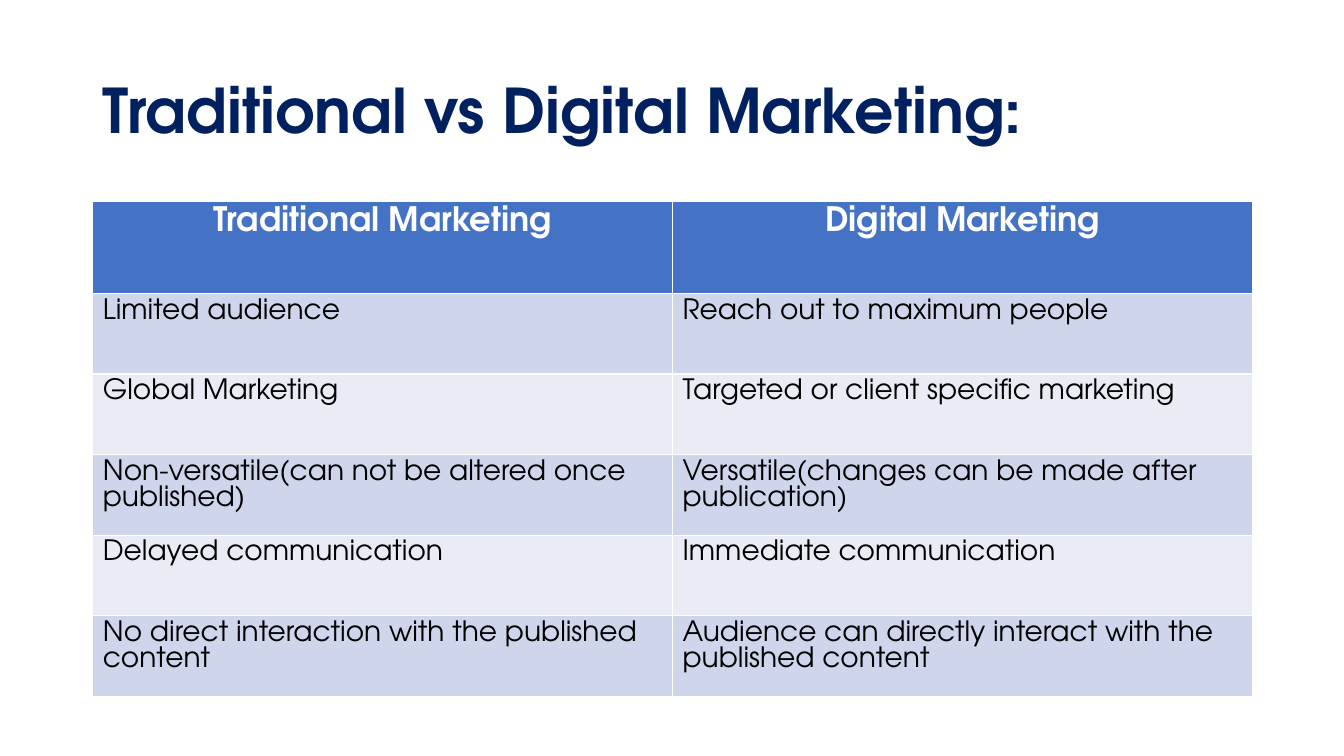
from pptx import Presentation
from pptx.dml.color import RGBColor
from pptx.enum.text import MSO_ANCHOR, MSO_AUTO_SIZE, PP_ALIGN
from pptx.util import Inches, Pt

LEFT, CENTER = PP_ALIGN.LEFT, PP_ALIGN.CENTER
MIDDLE = MSO_ANCHOR.MIDDLE
NO_AUTOFIT = MSO_AUTO_SIZE.NONE
TITLE_ONLY = 5
FONT = "TeX Gyre Adventor"
COLORS = {
    "title": "002060",
    "header": "4472C4",
    "header_text": "FFFFFF",
    "odd_row": "CFD5EA",
    "even_row": "E9EBF5",
    "body_text": "000000",
}
MARGIN, CONTENT_WIDTH = Inches(0.92), Inches(11.5)
HEADER_HEIGHT, ROW_HEIGHT = Inches(0.91), Inches(0.8)
COMPARISON = [
    ("Traditional Marketing", "Digital Marketing"),
    ("Limited audience", "Reach out to maximum people"),
    ("Global Marketing", "Targeted or client specific marketing"),
    ("Non-versatile(can not be altered once published)",
     "Versatile(changes can be made after publication)"),
    ("Delayed communication", "Immediate communication"),
    ("No direct interaction with the published content",
     "Audience can directly interact with the published content"),
]


def color(name):
    """Return the named colour of the palette."""
    return RGBColor.from_string(COLORS[name])


def write(frame, text, size, color_name, bold, align):
    """Put one formatted paragraph in a text frame."""
    frame.text = text
    para = frame.paragraphs[0]
    para.alignment = align
    for span in para.runs:
        span.font.name = FONT
        span.font.size = Pt(size)
        span.font.bold = bold
        span.font.color.rgb = color(color_name)


def add_title(page, text):
    """Place and fill the title placeholder."""
    title = page.shapes.title
    title.left, title.top = MARGIN, Inches(0.4)
    title.width, title.height = CONTENT_WIDTH, Inches(1.45)
    frame = title.text_frame
    frame.auto_size = NO_AUTOFIT
    frame.vertical_anchor = MIDDLE
    write(frame, text, 44, "title", True, LEFT)
    frame.paragraphs[0].line_spacing = 0.9


def fill_cell(cell, text, row):
    """Write and colour a cell according to its row."""
    cell.fill.solid()
    if row == 0:
        fill_name = "header"
        write(cell.text_frame, text, 24, "header_text", True, CENTER)
    else:
        fill_name = "odd_row" if row % 2 else "even_row"
        write(cell.text_frame, text, 20, "body_text", False, LEFT)
    cell.fill.fore_color.rgb = color(fill_name)


def add_comparison(page, rows):
    """Add a table with a header row and equal columns."""
    columns = len(rows[0])
    height = HEADER_HEIGHT + ROW_HEIGHT * (len(rows) - 1)
    table = page.shapes.add_table(
        len(rows), columns, MARGIN, Inches(2), CONTENT_WIDTH, height).table
    for row, texts in enumerate(rows):
        table.rows[row].height = ROW_HEIGHT if row else HEADER_HEIGHT
        for column, text in enumerate(texts):
            fill_cell(table.cell(row, column), text, row)


def main():
    """Build the comparison slide and save the deck."""
    deck = Presentation()
    deck.slide_width, deck.slide_height = Inches(13.33), Inches(7.5)
    page = deck.slides.add_slide(deck.slide_layouts[TITLE_ONLY])
    add_title(page, "Traditional vs Digital Marketing:")
    add_comparison(page, COMPARISON)
    deck.save("out.pptx")


if __name__ == "__main__":
    main()
